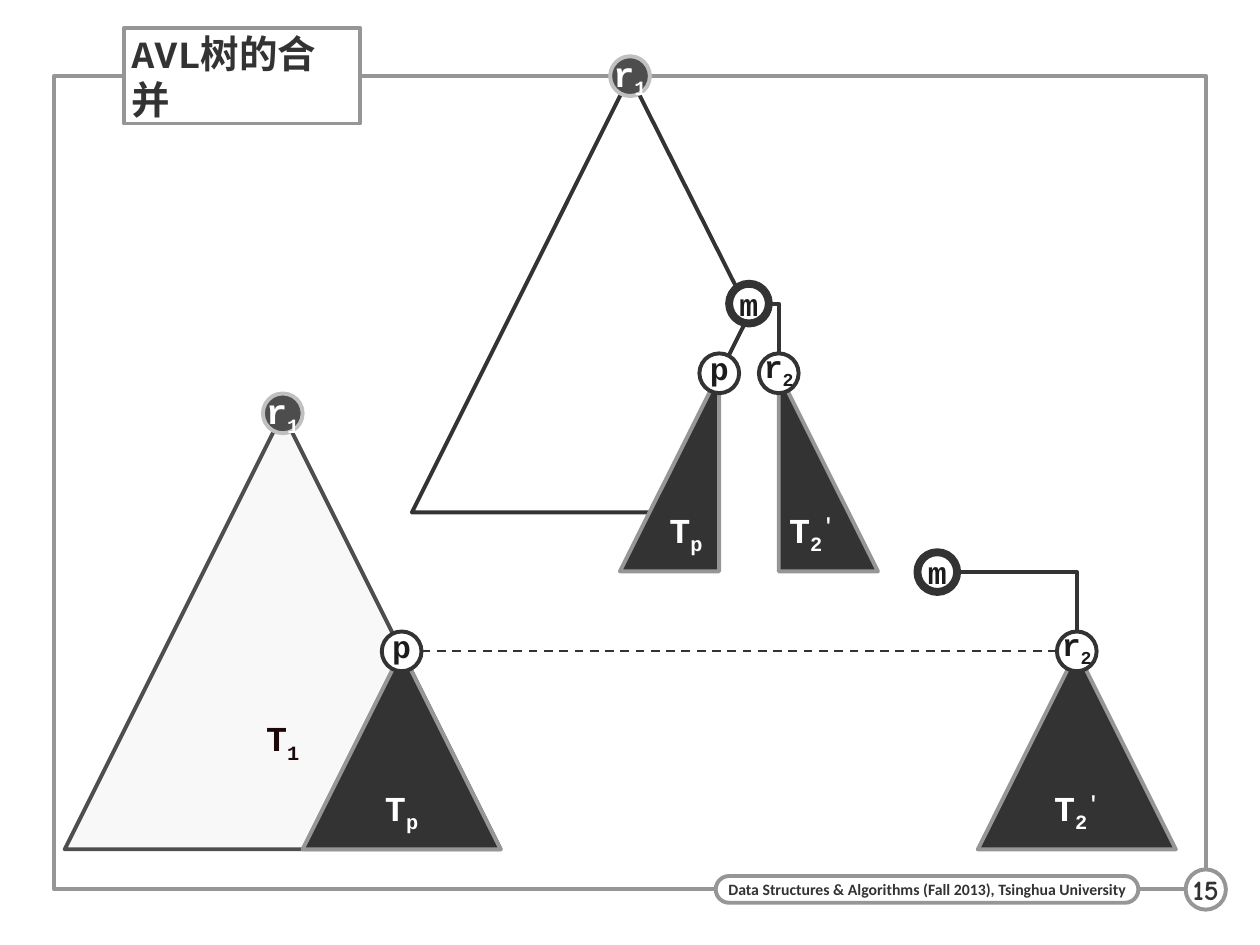
import dataclasses
import typing

import lxml.etree
import pptx
import pptx.dml.color
import pptx.enum.dml
import pptx.enum.shapes
import pptx.enum.text
import pptx.oxml.ns
import pptx.util

Pt = pptx.util.Pt
SHAPE = pptx.enum.shapes.MSO_SHAPE
CONNECTOR = pptx.enum.shapes.MSO_CONNECTOR
ALIGN = pptx.enum.text.PP_ALIGN

DARK, GREY, WHITE, INK = "333333", "969696", "FFFFFF", "1C1C1C"
CODE_FONT = "Courier New"
LINE_WIDTH = 2.25
NODE_SIZE = 22.7
SUB, SUPER = -25000, 30000  # baseline shifts

Point = tuple[float, float]
Span = tuple[str, int]  # text and baseline shift


@dataclasses.dataclass
class Look:
    fill: typing.Optional[str]
    line: str
    width: float = LINE_WIDTH


@dataclasses.dataclass
class Label:
    spans: list[Span]
    size: float
    color: str
    font: str = CODE_FONT
    insets: tuple[float, float, float, float] = (2.9, 2.9, 2.9, 2.9)
    align: typing.Any = ALIGN.CENTER
    wrap: bool = False


@dataclasses.dataclass
class Node:
    center: Point
    look: Look
    label: Label


@dataclasses.dataclass
class Subtree:
    apex: Point  # top corner, also the centre of its root node
    left: float
    width: float
    height: float
    kind: typing.Any
    look: Look
    label: Label
    flipped: bool = False


def rgb(color: str) -> pptx.dml.color.RGBColor:
    return pptx.dml.color.RGBColor.from_string(color)


def style(shape, look: Look) -> None:
    if look.fill:
        shape.fill.solid()
        shape.fill.fore_color.rgb = rgb(look.fill)
    else:
        shape.fill.background()
    shape.line.color.rgb = rgb(look.line)
    shape.line.width = Pt(look.width)


def write(shape, label: Label) -> None:
    frame = shape.text_frame
    frame.word_wrap = label.wrap
    frame.auto_size = pptx.enum.text.MSO_AUTO_SIZE.NONE
    frame.vertical_anchor = pptx.enum.text.MSO_ANCHOR.MIDDLE
    (frame.margin_left, frame.margin_top,
     frame.margin_right, frame.margin_bottom) = map(Pt, label.insets)
    para = frame.paragraphs[0]
    para.alignment = label.align
    para.font.name = label.font
    para.font.size = Pt(label.size)
    para.font.bold = True
    para.font.color.rgb = rgb(label.color)
    for text, shift in label.spans:
        span = para.add_run()
        span.text = text
        if shift:
            span._r.get_or_add_rPr().set("baseline", str(shift))


def add_box(page, kind, left: float, top: float, width: float, height: float,
            look: Look, label: typing.Optional[Label] = None):
    box = page.shapes.add_shape(kind, Pt(left), Pt(top), Pt(width), Pt(height))
    box.shadow.inherit = False
    style(box, look)
    if label:
        write(box, label)
    return box


def add_node(page, node: Node, size: float = NODE_SIZE) -> None:
    x, y = node.center
    add_box(page, SHAPE.OVAL, x - size / 2, y - size / 2, size, size, node.look, node.label)


def add_subtree(page, tree: Subtree) -> None:
    box = add_box(page, tree.kind, tree.left, tree.apex[1], tree.width, tree.height,
                  tree.look, tree.label)
    if tree.flipped:
        box.element.find(".//" + pptx.oxml.ns.qn("a:xfrm")).set("flipH", "1")


def add_link(page, kind, start: Point, end: Point, width: float = LINE_WIDTH):
    link = page.shapes.add_connector(kind, *map(Pt, start + end))
    link.line.color.rgb = rgb(DARK)
    link.line.width = Pt(width)
    properties = link.element.spPr
    lxml.etree.SubElement(properties, pptx.oxml.ns.qn("a:effectLst"))
    return link


def add_corner(page, middle: Point, root: Point) -> None:
    """Runs right from one node, then down to the other."""
    radius = NODE_SIZE / 2
    link = add_link(page, CONNECTOR.ELBOW, (middle[0] + radius + 2, middle[1]),
                    (root[0], root[1] - radius - 1))
    link.element.find(".//" + pptx.oxml.ns.qn("a:prstGeom")).set("prst", "bentConnector2")


def root_one(center: Point) -> Node:
    return Node(center, Look("4D4D4D", "C0C0C0"), Label([("r", 0), ("1", SUB)], 20, WHITE))


def plain_node(center: Point, *spans: Span) -> Node:
    return Node(center, Look(WHITE, DARK), Label(list(spans), 18, INK, insets=(2.9, 0, 2.9, 5.8)))


def middle_node(center: Point) -> Node:
    return Node(center, Look(WHITE, DARK, 4.5),
                Label([("m", 0)], 18, INK, insets=(2.9, 0, 2.9, 0)))


def dark_tree(apex: Point, left: float, width: float, kind, spans: list[Span],
              flipped: bool = False) -> Subtree:
    label = Label(spans, 20, WHITE, insets=(2.9, 11.5, 2.9, 0))
    return Subtree(apex, left, width, 113.2, kind, Look(DARK, GREY), label, flipped)


def main() -> None:
    deck = pptx.Presentation()
    deck.slide_width, deck.slide_height = Pt(720), Pt(540)
    page = deck.slides.add_slide(deck.slide_layouts[5])

    # Frame, footer and page number
    add_box(page, SHAPE.RECTANGLE, 31, 43.3, 658, 465, Look(None, GREY))
    footer = Label([("Data Structures & Algorithms (Fall 2013), Tsinghua University", 0)],
                   9, DARK, "Calibri", (4.3, 0, 4.3, 0))
    pill = add_box(page, SHAPE.ROUNDED_RECTANGLE, 409, 500.6, 241.5, 15.3,
                   Look(WHITE, GREY), footer)
    pill.adjustments[0] = 0.5
    add_node(page, Node((689, 508.3), Look(WHITE, GREY),
                        Label([("15", 0)], 16, DARK, "Comic Neue")), 23)

    # Title, brought in front of the frame
    title = page.shapes.title
    title.left, title.top, title.width, title.height = Pt(70.8), Pt(16), Pt(135), Pt(54.6)
    style(title, Look(WHITE, GREY))
    write(title, Label([("AVL树的合并", 0)], 22, DARK,
                       insets=(4.3, 0.7, 4.3, 0.7), align=ALIGN.LEFT, wrap=True))
    title.element.getparent().append(title.element)

    tree_p, tree_2 = [("T", 0), ("p", SUB)], [("T", 0), ("2", SUB), ("'", SUPER)]
    root_2 = (("r", 0), ("2", SUB))
    side, half = 113.2, 56.7

    # Before merging: T1 with subtree Tp, and the separate T2'
    r1, p, m, r2 = (161.6, 236.2), (229.5, 372.2), (535.6, 326.9), (615.3, 372.2)
    add_subtree(page, Subtree(r1, 37, 249.1, 249.1, SHAPE.ISOSCELES_TRIANGLE,
                              Look("F8F8F8", "4D4D4D"),
                              Label([("T", 0), ("1", SUB)], 20, "1C0808")))
    add_node(page, root_one(r1))
    add_corner(page, m, r2)
    for apex, spans in ((r2, tree_2), (p, tree_p)):
        add_subtree(page, dark_tree(apex, apex[0] - side / 2, side,
                                    SHAPE.ISOSCELES_TRIANGLE, spans))
    link = add_link(page, CONNECTOR.STRAIGHT, (r2[0] - NODE_SIZE / 2, r2[1]),
                    (p[0] + NODE_SIZE / 2, p[1]), 1.25)
    link.line.dash_style = pptx.enum.dml.MSO_LINE.DASH
    for node in (plain_node(r2, *root_2), middle_node(m), plain_node(p, ("p", 0))):
        add_node(page, node)

    # After merging: m joins Tp and T2' below r1
    r1, p, m, r2 = (360, 43.5), (411, 213.3), (428, 173.5), (445, 213.3)
    builder = page.shapes.build_freeform(Pt(r1[0]), Pt(r1[1]))
    outline = [(428.4, 179.3), (371.5, 292.8), (235.4, 292.8)]
    builder.add_line_segments([(Pt(x), Pt(y)) for x, y in outline], close=True)
    body = builder.convert_to_shape()
    body.shadow.inherit = False
    style(body, Look(WHITE, DARK))
    add_node(page, root_one(r1))
    add_corner(page, m, r2)
    add_subtree(page, dark_tree(r2, r2[0], half, SHAPE.RIGHT_TRIANGLE, tree_2))
    add_subtree(page, dark_tree(p, p[0] - half, half, SHAPE.RIGHT_TRIANGLE, tree_p, True))
    for node in (plain_node(r2, *root_2), middle_node(m), plain_node(p, ("p", 0))):
        add_node(page, node)

    deck.save("out.pptx")


if __name__ == "__main__":
    main()
